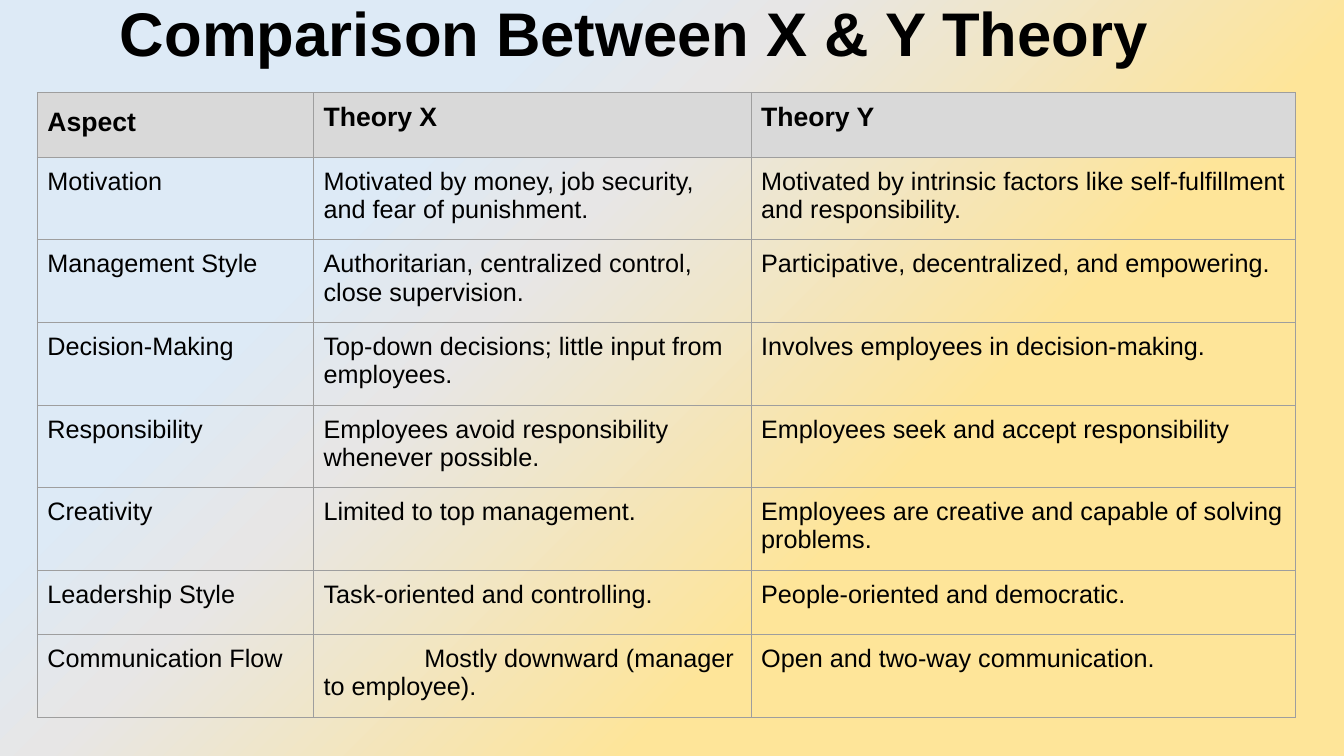
from dataclasses import dataclass

from lxml.etree import SubElement
from pptx import Presentation
from pptx.dml.color import RGBColor
from pptx.enum.text import MSO_ANCHOR, MSO_AUTO_SIZE, PP_ALIGN
from pptx.oxml.ns import qn
from pptx.util import Inches, Pt


@dataclass(frozen=True)
class Theme:
    font: str = "Arial"
    text: str = "000000"
    header_fill: str = "D9D9D9"
    border: str = "9E9E9E"
    title_size: int = 44
    header_size: int = 19
    body_size: int = 18
    border_width: float = 0.75
    background: tuple = ((0, "FEE599"), (34, "FEE599"), (62, "E7E6E6"),
                         (73, "DDEAF6"), (100, "DDEAF6"))


THEME = Theme()

COLUMN_WIDTHS = (2.74, 4.34, 5.4)
ROW_HEIGHTS = (0.64, 0.82, 0.82, 0.82, 0.82, 0.82, 0.64, 0.82)
COMPARISON = (
    ("Aspect", "Theory X", "Theory Y"),
    ("Motivation", "Motivated by money, job security, and fear of punishment.",
     "Motivated by intrinsic factors like self-fulfillment and responsibility."),
    ("Management Style", "Authoritarian, centralized control, close supervision.",
     "Participative, decentralized, and empowering."),
    ("Decision-Making", "Top-down decisions; little input from employees.",
     "Involves employees in decision-making."),
    ("Responsibility", "Employees avoid responsibility whenever possible.",
     "Employees seek and accept responsibility"),
    ("Creativity", "Limited to top management.",
     "Employees are creative and capable of solving problems."),
    ("Leadership Style", "Task-oriented and controlling.",
     "People-oriented and democratic."),
    ("Communication Flow", "Mostly downward (manager to employee).",
     "Open and two-way communication."),
)


def add_span(para, text, size, bold=False):
    span = para.add_run()
    span.text = text
    span.font.name = THEME.font
    span.font.size = Pt(size)
    span.font.bold = bold
    span.font.color.rgb = RGBColor.from_string(THEME.text)


def paint_background(page):
    page.background.fill.gradient()
    gradient = next(page.element.iter(qn("a:gradFill")))
    for child in list(gradient):
        gradient.remove(child)
    stops = SubElement(gradient, qn("a:gsLst"))
    for position, color in THEME.background:
        stop = SubElement(stops, qn("a:gs"), pos=str(position * 1000))
        SubElement(stop, qn("a:srgbClr"), val=color)
    # Rings spread from the bottom right corner
    circle = SubElement(gradient, qn("a:path"))
    circle.set("path", "circle")
    SubElement(circle, qn("a:fillToRect"), l="100000", t="100000")


def place_title(page, left, top, width, height):
    title = page.shapes.title
    title.left, title.top = Inches(left), Inches(top)
    title.width, title.height = Inches(width), Inches(height)
    frame = title.text_frame
    frame.word_wrap = True
    frame.auto_size = MSO_AUTO_SIZE.NONE
    frame.vertical_anchor = MSO_ANCHOR.MIDDLE
    frame.margin_left = Inches(0.27)
    para = frame.paragraphs[0]
    para.alignment = PP_ALIGN.LEFT
    para.line_spacing = 0.9
    add_span(para, "Comparison Between X & Y Theory", THEME.title_size, True)


def add_borders(cell):
    properties = cell._tc.get_or_add_tcPr()
    for side in ("lnL", "lnR", "lnT", "lnB"):
        line = SubElement(properties, qn(f"a:{side}"), w=str(Pt(THEME.border_width)))
        fill = SubElement(line, qn("a:solidFill"))
        SubElement(fill, qn("a:srgbClr"), val=THEME.border)


def fill_cell(cell, text, is_header):
    cell.margin_left = cell.margin_right = Inches(0.1)
    cell.margin_top = cell.margin_bottom = Inches(0.1)
    add_borders(cell)
    if is_header:
        cell.fill.solid()
        cell.fill.fore_color.rgb = RGBColor.from_string(THEME.header_fill)
    else:
        cell.fill.background()
    size = THEME.header_size if is_header else THEME.body_size
    add_span(cell.text_frame.paragraphs[0], text, size, is_header)


def place_comparison(page, left, top):
    box = page.shapes.add_table(
        len(ROW_HEIGHTS), len(COLUMN_WIDTHS), Inches(left), Inches(top),
        Inches(sum(COLUMN_WIDTHS)), Inches(sum(ROW_HEIGHTS)))
    table = box.table
    table.first_row = table.horz_banding = False
    for column, width in zip(table.columns, COLUMN_WIDTHS):
        column.width = Inches(width)
    for index, (row, height) in enumerate(zip(table.rows, ROW_HEIGHTS)):
        row.height = Inches(height)
        for cell, text in zip(row.cells, COMPARISON[index]):
            fill_cell(cell, text, index == 0)
    # The first heading is set looser; the last Theory X entry is indented
    table.cell(0, 0).text_frame.paragraphs[0].line_spacing = 1.15
    downward = table.cell(len(ROW_HEIGHTS) - 1, 1).text_frame.paragraphs[0]
    downward._p.get_or_add_pPr().set("indent", str(Inches(1)))


def main():
    deck = Presentation()
    deck.slide_width, deck.slide_height = Inches(13.33), Inches(7.5)
    page = deck.slides.add_slide(deck.slide_layouts.get_by_name("Title Only"))
    paint_background(page)
    place_title(page, 0.92, 0, 11.25, 0.73)
    place_comparison(page, 0.37, 0.92)
    deck.save("out.pptx")


if __name__ == "__main__":
    main()
